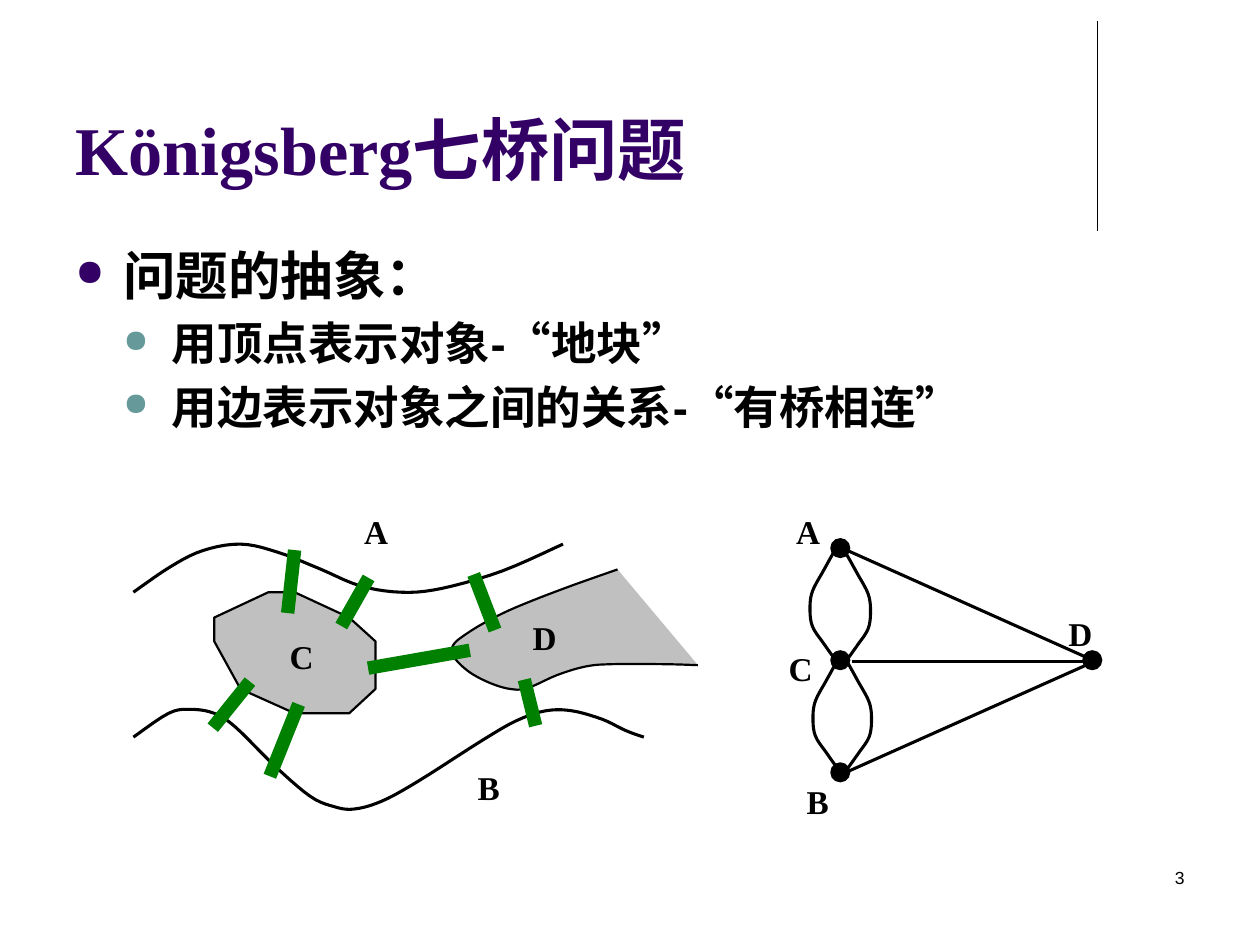
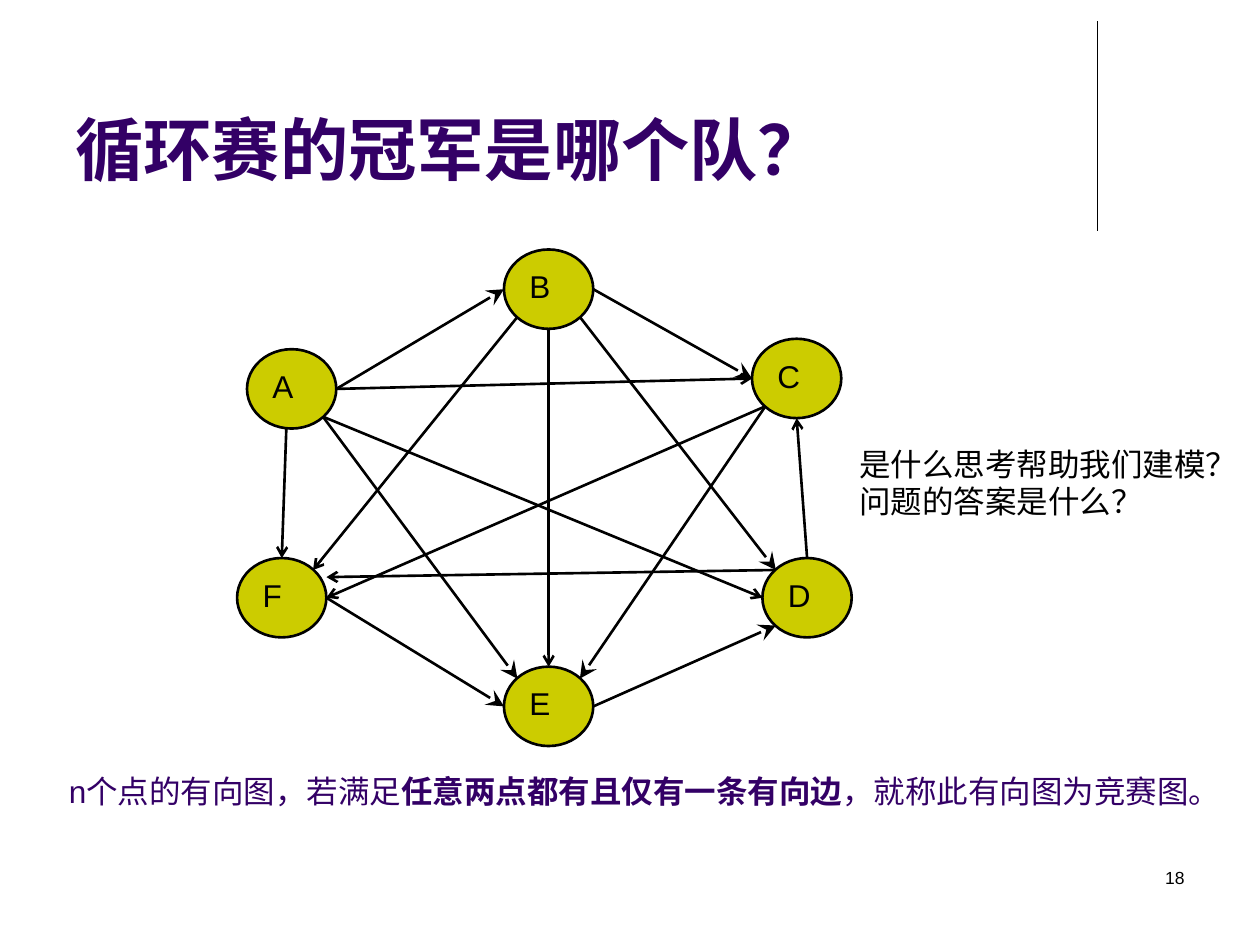
from dataclasses import dataclass
from math import hypot

from lxml.etree import SubElement
from pptx import Presentation
from pptx.dml.color import RGBColor
from pptx.enum.shapes import MSO_CONNECTOR, MSO_SHAPE
from pptx.enum.text import MSO_ANCHOR, MSO_AUTO_SIZE, PP_ALIGN
from pptx.oxml.ns import qn
from pptx.util import Cm, Pt


@dataclass(frozen=True)
class Theme:
    ink: str = "000000"
    title: str = "330066"
    sub_bullet: str = "669999"
    land: str = "C0C0C0"
    bridge: str = "008000"
    team: str = "CCCC00"
    sans: str = "Arial"
    serif: str = "Times New Roman"
    caption: str = "Lato"
    title_size: int = 39
    body_sizes: tuple = (30, 26)
    label_size: int = 19
    text_size: int = 18
    number_size: int = 10
    thin: float = 0.75
    outline: float = 1.25
    edge: float = 1.5
    curve: float = 1.75


THEME = Theme()

# River map, in centimetres
BANK_A = [(2.69, 11.94), (3.43, 11.43), (4.09, 11.1), (4.85, 10.97),
          (5.59, 11.13), (6.43, 11.46), (7.26, 11.81), (8.1, 11.94),
          (8.92, 11.86), (10.13, 11.51), (11.35, 10.97)]
BANK_B = [(2.69, 14.86), (3.4, 14.38), (3.84, 14.3), (4.32, 14.38),
          (4.75, 14.66), (5.54, 15.44), (6.25, 16.05), (6.73, 16.26),
          (7.14, 16.31), (7.7, 16.15), (8.43, 15.75), (9.7, 14.94),
          (10.41, 14.53), (11, 14.33), (11.53, 14.33), (12.14, 14.5),
          (12.62, 14.73), (12.98, 14.86)]
ISLAND_C = [(5.41, 11.94), (4.32, 12.45), (4.32, 12.93), (4.85, 13.89),
            (5.94, 14.38), (7.04, 14.38), (7.57, 13.89), (7.57, 12.93),
            (7.04, 12.45), (5.94, 11.94)]
SHORE_D = [(12.45, 11.48), (11.38, 11.86), (10.41, 12.24), (9.83, 12.52),
           (9.4, 12.78), (9.14, 13), (9.14, 13.23), (9.45, 13.54),
           (9.88, 13.77), (10.29, 13.89), (10.64, 13.87), (11.23, 13.61),
           (11.79, 13.44), (12.32, 13.39), (13.39, 13.39), (14.07, 13.41)]
BRIDGES = [((5.94, 11.09), (5.8, 12.36)), ((7.43, 11.65), (6.88, 12.62)),
           ((5.04, 13.74), (4.29, 14.67)), ((6.02, 14.2), (5.44, 15.65)),
           ((9.55, 11.58), (9.98, 12.7)), ((10.57, 13.7), (10.8, 14.63)),
           ((7.42, 13.47), (9.47, 13.11))]
BRIDGE_WIDTH = 0.27
MAP_LABELS = [("C", 5.84, 12.83), ("D", 10.74, 12.45),
              ("A", 7.34, 10.31), ("B", 9.63, 15.47)]

# Multigraph of the bridges
VERTICES = [(16.76, 10.87 + 2.26 * row) for row in range(3)] + [(21.84, 13.13)]
VERTEX_SIZE = 0.36
EDGES_TO_D = [((17.09, 11.1), (21.92, 13.26)), ((17.17, 13.34), (21.97, 13.34)),
              ((17.12, 15.54), (21.89, 13.41))]
BOW = [(0, 0), (0.2, 0.36), (0.43, 0.79), (0.48, 1.14),
       (0.43, 1.5), (0.2, 1.85), (0, 2.13)]
BOW_STARTS = [(16.81, 11.13, -1), (17.07, 11.18, 1),
              (16.87, 13.34, -1), (17.09, 13.36, 1)]
GRAPH_LABELS = [("A", 16.05, 10.31), ("C", 15.9, 13.06),
                ("B", 16.26, 15.75), ("D", 21.54, 12.37)]

# Tournament graph
TEAM_W, TEAM_H = 1.8, 1.6
TEAMS = {"A": (4.98, 7.04), "B": (10.16, 5.03), "C": (15.16, 6.83),
         "F": (4.78, 11.25), "E": (10.16, 13.44), "D": (15.37, 11.25)}
SITES = {"N": (0.5, 0), "S": (0.5, 1), "W": (0, 0.5), "E": (1, 0.5),
         "NW": (0.15, 0.15), "NE": (0.85, 0.15), "SW": (0.15, 0.85),
         "SE": (0.85, 0.85), "SSW": (0.44, 1), "ENE": (1, 0.24)}
MATCHES = {
    "stealth": ["A.E B.W", "B.E C.W", "F.E E.W", "E.E D.SW", "A.SE E.NW",
                "B.SE D.NW", "C.SW E.NE"],
    "arrow": ["B.S E.N", "A.SE D.W", "B.SW F.NE", "A.SSW F.N", "C.SW F.E",
              "D.N C.S", "A.E C.W", "D.NW F.ENE"],
}
HEAD_SIZE = {"stealth": "lg", "arrow": "med"}


def rgb(color):
    return RGBColor.from_string(color)


def smooth(anchors, steps=5):
    """Points of a Catmull-Rom curve through the anchors."""
    padded = [anchors[0], *anchors, anchors[-1]]
    curve = [anchors[0]]
    for a, b, c, d in zip(padded, padded[1:], padded[2:], padded[3:]):
        for step in range(1, steps + 1):
            t = step / steps
            curve.append(tuple(
                q + ((r - p) * t + (2 * p - 5 * q + 4 * r - s) * t ** 2
                     + (3 * q - p - 3 * r + s) * t ** 3) / 2
                for p, q, r, s in zip(a, b, c, d)))
    return curve


def paint(shape, fill=None, width=None):
    shape.shadow.inherit = False
    if fill:
        shape.fill.solid()
        shape.fill.fore_color.rgb = rgb(fill)
    else:
        shape.fill.background()
    if width:
        shape.line.color.rgb = rgb(THEME.ink)
        shape.line.width = Pt(width)
    else:
        shape.line.fill.background()


def add_outline(slide, points, fill=None, width=None, close=False):
    corners = [(Cm(x), Cm(y)) for x, y in points]
    builder = slide.shapes.build_freeform(*corners[0])
    builder.add_line_segments(corners[1:], close=close)
    paint(builder.convert_to_shape(), fill, width)


def add_ellipse(slide, left, top, width, height, fill, line_width):
    ellipse = slide.shapes.add_shape(
        MSO_SHAPE.OVAL, Cm(left), Cm(top), Cm(width), Cm(height))
    paint(ellipse, fill, line_width)
    return ellipse


def add_line(slide, start, end, width, head=None):
    line = slide.shapes.add_connector(
        MSO_CONNECTOR.STRAIGHT, *(Cm(v) for v in (*start, *end)))
    line.line.color.rgb = rgb(THEME.ink)
    line.line.width = Pt(width)
    properties = line.element.spPr
    if head:
        SubElement(properties.find(qn("a:ln")), qn("a:tailEnd"), type=head,
                   w=HEAD_SIZE[head], len=HEAD_SIZE[head])
    SubElement(properties, qn("a:effectLst"))


def add_run(paragraph, text, size, font=THEME.sans, color=THEME.ink, bold=False):
    run = paragraph.add_run()
    run.text = text
    run.font.size, run.font.name, run.font.bold = Pt(size), font, bold
    run.font.color.rgb = rgb(color)


def add_text_frame(slide, left, top, width, height, wrap=True, grow=False):
    frame = slide.shapes.add_textbox(
        Cm(left), Cm(top), Cm(width), Cm(height)).text_frame
    frame.word_wrap = wrap
    frame.auto_size = (MSO_AUTO_SIZE.SHAPE_TO_FIT_TEXT if grow
                       else MSO_AUTO_SIZE.NONE)
    return frame


def add_label(slide, letter, left, top):
    frame = add_text_frame(slide, left, top, 0.48, 0.81, wrap=False, grow=True)
    frame.margin_left = frame.margin_right = 0
    frame.margin_top = frame.margin_bottom = 0
    add_run(frame.paragraphs[0], letter, THEME.label_size, THEME.serif, bold=True)


def add_bullet(paragraph, text, level):
    size = THEME.body_sizes[level]
    color = (THEME.title, THEME.sub_bullet)[level]
    paragraph.level = level
    paragraph.space_before = Pt(size * 0.2)
    properties = paragraph._p.get_or_add_pPr()
    properties.set("marL", str(Cm(0.97 * (level + 1))))
    properties.set("indent", str(Cm(-0.97)))
    bullet_color = SubElement(properties, qn("a:buClr"))
    SubElement(bullet_color, qn("a:srgbClr"), val=color)
    SubElement(properties, qn("a:buSzPct"), val="70000")
    SubElement(properties, qn("a:buChar"), char="●")
    add_run(paragraph, text, size, bold=True)


def add_base_slide(deck, title, number, title_font):
    """Slide with the shared rule, title and slide number."""
    slide = deck.slides.add_slide(deck.slide_layouts[6])
    add_line(slide, (22.12, 0.43), (22.12, 4.65), THEME.thin)
    heading = add_text_frame(slide, 1.27, 0.33, 20.96, 3.61)
    heading.vertical_anchor = MSO_ANCHOR.BOTTOM
    add_run(heading.paragraphs[0], title, THEME.title_size, title_font,
            THEME.title, bold=True)
    footer = add_text_frame(slide, 18.21, 17.35, 5.92, 1.27).paragraphs[0]
    footer.alignment = PP_ALIGN.RIGHT
    add_run(footer, number, THEME.number_size)
    return slide


def add_bridge(slide, start, end):
    (x1, y1), (x2, y2) = start, end
    scale = BRIDGE_WIDTH / 2 / hypot(x2 - x1, y2 - y1)
    dx, dy = (y1 - y2) * scale, (x2 - x1) * scale
    deck_corners = [(x1 + dx, y1 + dy), (x1 - dx, y1 - dy),
                    (x2 - dx, y2 - dy), (x2 + dx, y2 + dy)]
    add_outline(slide, deck_corners, fill=THEME.bridge, close=True)


def add_river_map(slide):
    for bank in (BANK_A, BANK_B):
        add_outline(slide, smooth(bank), width=THEME.curve)
    shore = smooth(SHORE_D)
    add_outline(slide, shore, fill=THEME.land, close=True)
    add_outline(slide, shore, width=THEME.outline)
    add_outline(slide, ISLAND_C, THEME.land, THEME.outline, close=True)
    for start, end in BRIDGES:
        add_bridge(slide, start, end)
    for label in MAP_LABELS:
        add_label(slide, *label)


def add_bridge_graph(slide):
    for left, top in VERTICES:
        add_ellipse(slide, left, top, VERTEX_SIZE, VERTEX_SIZE,
                    THEME.ink, THEME.outline)
    for start, end in EDGES_TO_D:
        add_line(slide, start, end, THEME.curve)
    for x, y, side in BOW_STARTS:
        bow = [(x + side * dx, y + dy) for dx, dy in BOW]
        add_outline(slide, smooth(bow), width=THEME.curve)
    for label in GRAPH_LABELS:
        add_label(slide, *label)


def team_site(name):
    team, site = name.split(".")
    (left, top), (across, down) = TEAMS[team], SITES[site]
    return left + across * TEAM_W, top + down * TEAM_H


def add_tournament(slide):
    for team, (left, top) in TEAMS.items():
        node = add_ellipse(slide, left, top, TEAM_W, TEAM_H,
                           THEME.team, THEME.edge)
        frame = node.text_frame
        frame.word_wrap = False
        frame.vertical_anchor = MSO_ANCHOR.TOP
        frame.paragraphs[0].alignment = PP_ALIGN.LEFT
        add_run(frame.paragraphs[0], team, THEME.text_size)
    for head, matches in MATCHES.items():
        for match in matches:
            winner, loser = match.split()
            add_line(slide, team_site(winner), team_site(loser), THEME.edge, head)


def main():
    deck = Presentation()
    deck.slide_width, deck.slide_height = Cm(25.4), Cm(19.05)

    # Seven bridges
    bridges = add_base_slide(deck, "Königsberg七桥问题", "3", THEME.serif)
    body = add_text_frame(bridges, 1.27, 4.78, 22.86, 4.34)
    add_bullet(body.paragraphs[0], "问题的抽象：", 0)
    for point in ("用顶点表示对象-“地块”", "用边表示对象之间的关系-“有桥相连”"):
        add_bullet(body.add_paragraph(), point, 1)
    add_river_map(bridges)
    add_bridge_graph(bridges)

    # Round-robin tournament
    league = add_base_slide(deck, "循环赛的冠军是哪个队？", "18", THEME.sans)
    add_tournament(league)
    questions = add_text_frame(league, 17.07, 8.84, 8.2, 1.8, wrap=False, grow=True)
    add_run(questions.paragraphs[0], "是什么思考帮助我们建模？", THEME.text_size)
    add_run(questions.add_paragraph(), "问题的答案是什么？", THEME.text_size)
    definition = add_text_frame(league, 1.14, 15.44, 24.13, 1.02, grow=True)
    for text, font, bold in (("n", THEME.sans, False),
                             ("个点的有向图，若满足", THEME.caption, False),
                             ("任意两点都有且仅有一条有向边", THEME.caption, True),
                             ("，就称此有向图为竞赛图。", THEME.caption, False)):
        add_run(definition.paragraphs[0], text, THEME.text_size, font,
                THEME.title, bold)

    deck.save("out.pptx")


if __name__ == "__main__":
    main()
